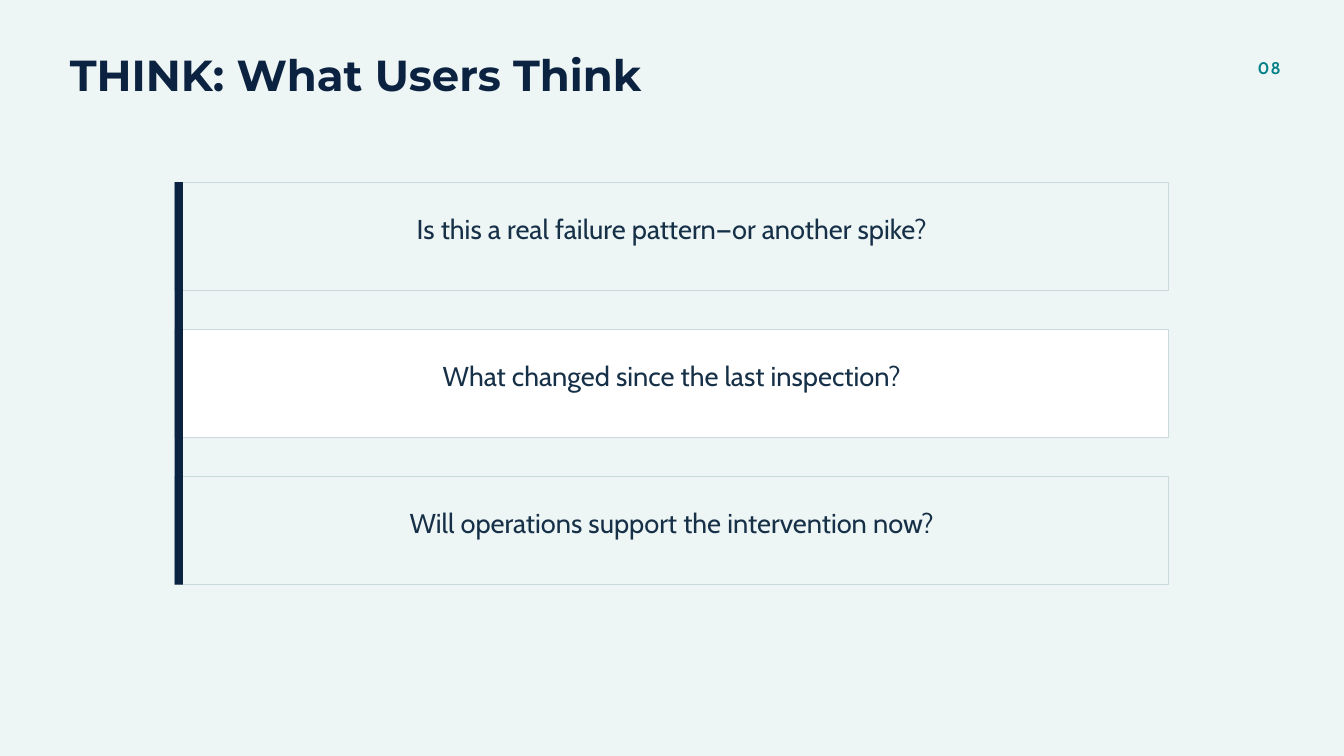
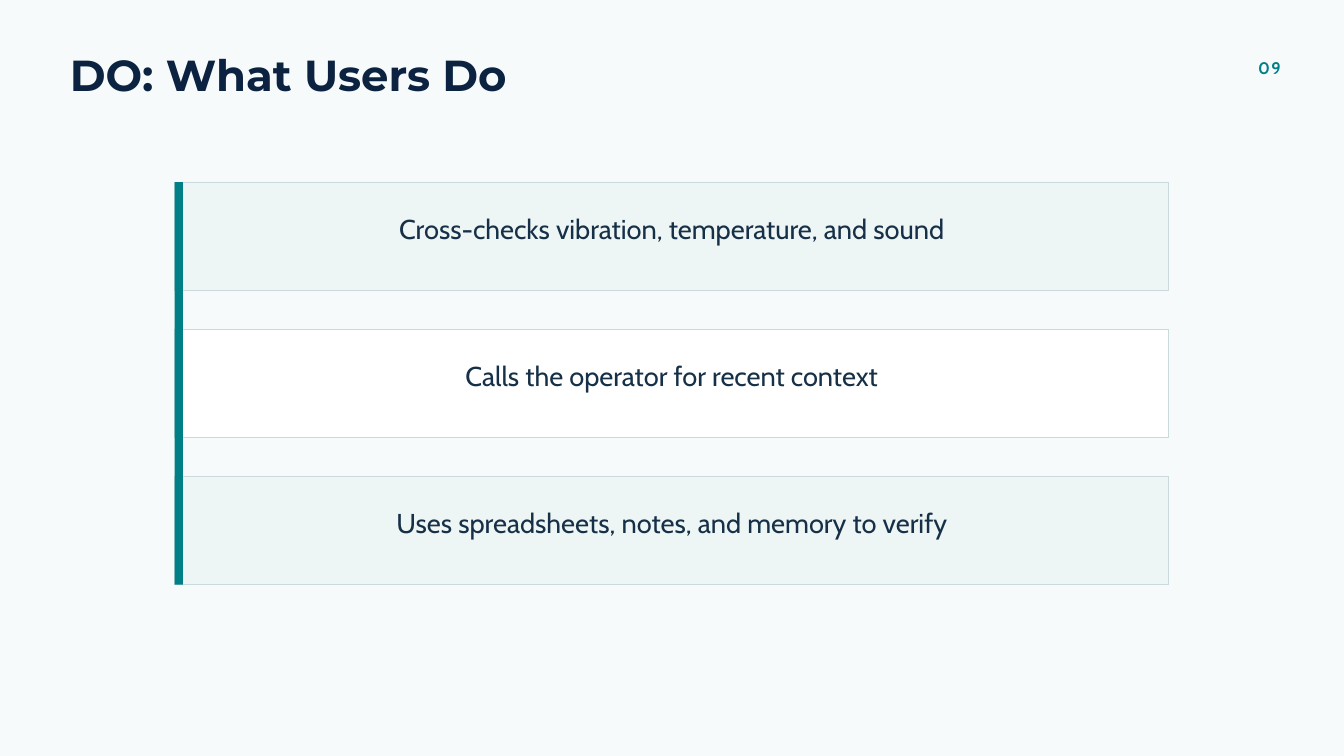
from dataclasses import dataclass

import pptx
import pptx.dml.color
import pptx.enum.shapes
import pptx.enum.text
import pptx.util

Inches = pptx.util.Inches
Pt = pptx.util.Pt
Align = pptx.enum.text.PP_ALIGN


def rgb(value):
    return pptx.dml.color.RGBColor.from_string(value)


@dataclass(frozen=True)
class Theme:
    navy: str = "0B2340"
    teal: str = "007F86"
    ink: str = "163047"
    mist: str = "EEF5F5"
    paper: str = "F7FAFB"
    white: str = "FFFFFF"
    border: str = "C9D9DC"
    heading_font: str = "Montserrat"
    body_font: str = "Cabin"
    title_size: float = 46.5
    title_leading: float = 48.8
    number_size: float = 18
    number_leading: float = 25.2
    number_tracking: int = 140
    statement_size: float = 29.2
    statement_leading: float = 39.5
    border_width: float = 0.75


class Deck:
    card_left, card_top = 2.6, 2.71
    card_width, card_height = 14.79, 1.61
    card_pitch = 2.19
    statement_inset, statement_drop = 0.63, 0.38
    rail_width = 0.12

    def __init__(self, theme):
        self.theme = theme
        self.presentation = pptx.Presentation()
        self.presentation.slide_width = Inches(20)
        self.presentation.slide_height = Inches(11.25)
        self.slide = None

    def start_slide(self, background):
        self.slide = self.presentation.slides.add_slide(self.presentation.slide_layouts[6])
        fill = self.slide.background.fill
        fill.solid()
        fill.fore_color.rgb = rgb(background)

    def text(self, shapes, words, place, leading, color, align=Align.LEFT, **font_format):
        frame = shapes.add_textbox(*map(Inches, place)).text_frame
        frame_format = {
            "margin_left": 0, "margin_top": 0, "margin_right": 0, "margin_bottom": 0,
            "word_wrap": True,
            "auto_size": pptx.enum.text.MSO_AUTO_SIZE.SHAPE_TO_FIT_TEXT,
        }
        for name, value in frame_format.items():
            setattr(frame, name, value)
        paragraph = frame.paragraphs[0]
        paragraph.alignment = align
        paragraph.line_spacing = Pt(leading)
        run = paragraph.add_run()
        run.text = words
        for name, value in font_format.items():
            setattr(run.font, name, value)
        run.font.color.rgb = rgb(color)
        return run

    def block(self, shapes, place, color, border=None):
        rectangle = shapes.add_shape(
            pptx.enum.shapes.MSO_SHAPE.RECTANGLE, *map(Inches, place))
        rectangle.shadow.inherit = False
        rectangle.fill.solid()
        rectangle.fill.fore_color.rgb = rgb(color)
        if border:
            rectangle.line.color.rgb = rgb(border)
            rectangle.line.width = Pt(self.theme.border_width)
        else:
            rectangle.line.fill.background()

    def title(self, words):
        theme = self.theme
        self.text(self.slide.shapes, words, (1.04, 0.81, 15.62, 0.69),
                  theme.title_leading, theme.navy,
                  name=theme.heading_font, size=Pt(theme.title_size), bold=True)

    def page_number(self, number):
        theme = self.theme
        digits = self.text(self.slide.shapes, f"{number:02}", (18.33, 0.81, 0.73, 0.34),
                           theme.number_leading, theme.teal, Align.RIGHT,
                           name=theme.body_font, size=Pt(theme.number_size), bold=True)
        digits.font._element.set("spc", str(theme.number_tracking))

    def card(self, statement, top, color):
        theme = self.theme
        shapes = self.slide.shapes.add_group_shape().shapes
        self.block(shapes, (self.card_left, top, self.card_width, self.card_height),
                   color, theme.border)
        inset = self.statement_inset
        self.text(shapes, statement,
                  (self.card_left + inset, top + self.statement_drop,
                   self.card_width - 2 * inset, 0.52),
                  theme.statement_leading, theme.ink, Align.CENTER,
                  name=theme.body_font, size=Pt(theme.statement_size))

    def statement_stack(self, statements, rail_color):
        fills = (self.theme.mist, self.theme.white)
        for index, statement in enumerate(statements):
            self.card(statement, self.card_top + index * self.card_pitch, fills[index % 2])
        rail_height = (len(statements) - 1) * self.card_pitch + self.card_height
        self.block(self.slide.shapes,
                   (self.card_left, self.card_top, self.rail_width, rail_height), rail_color)


def main():
    theme = Theme()
    deck = Deck(theme)
    insights = [
        ("THINK: What Users Think", theme.mist, theme.navy, [
            "Is this a real failure pattern—or another spike?",
            "What changed since the last inspection?",
            "Will operations support the intervention now?",
        ]),
        ("DO: What Users Do", theme.paper, theme.teal, [
            "Cross-checks vibration, temperature, and sound",
            "Calls the operator for recent context",
            "Uses spreadsheets, notes, and memory to verify",
        ]),
    ]
    for number, (heading, background, rail_color, statements) in enumerate(insights, start=8):
        deck.start_slide(background)
        deck.title(heading)
        deck.page_number(number)
        deck.statement_stack(statements, rail_color)
    deck.presentation.save("out.pptx")


if __name__ == "__main__":
    main()
